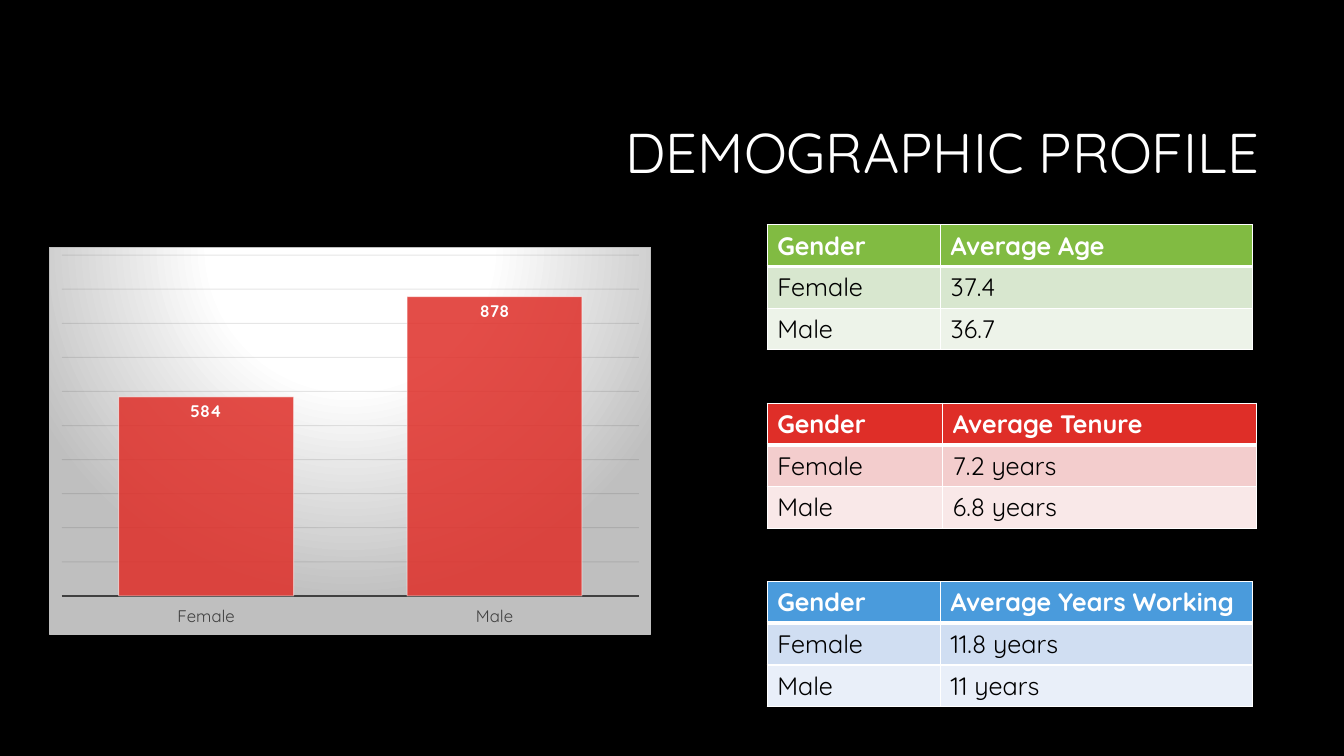
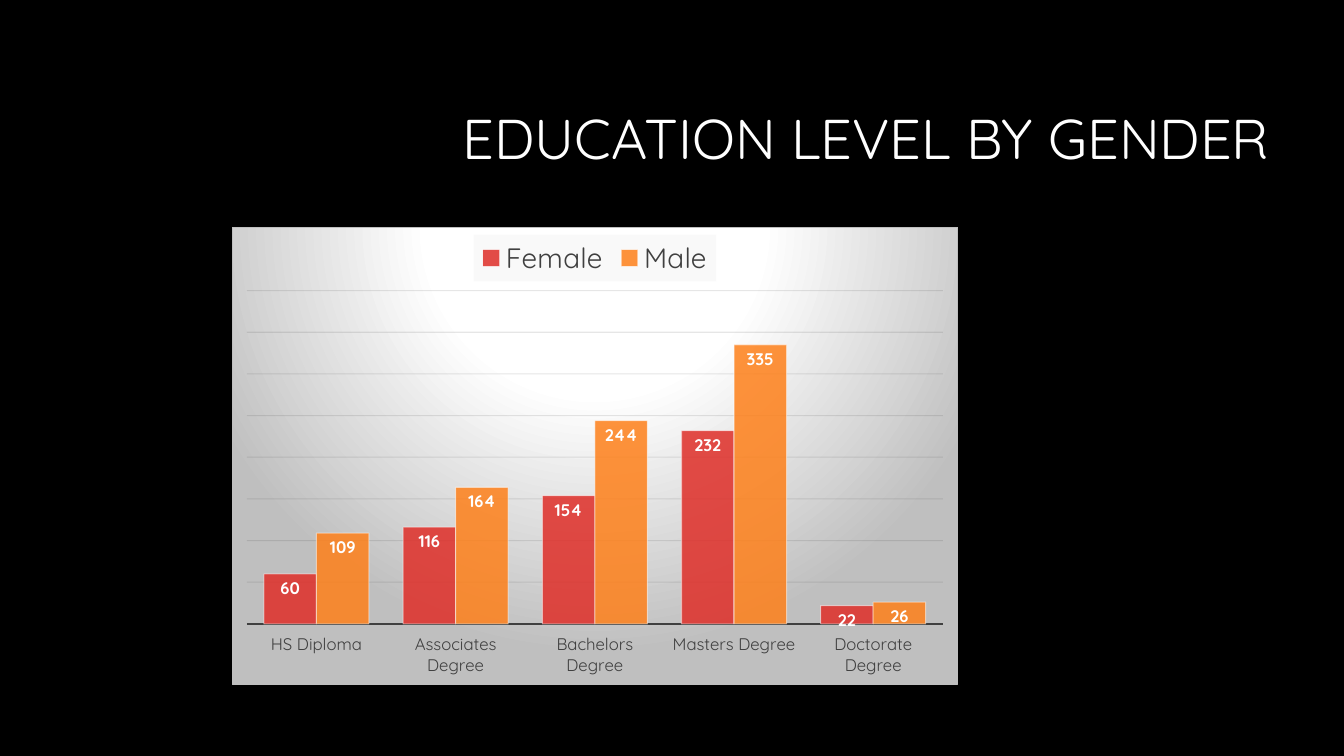
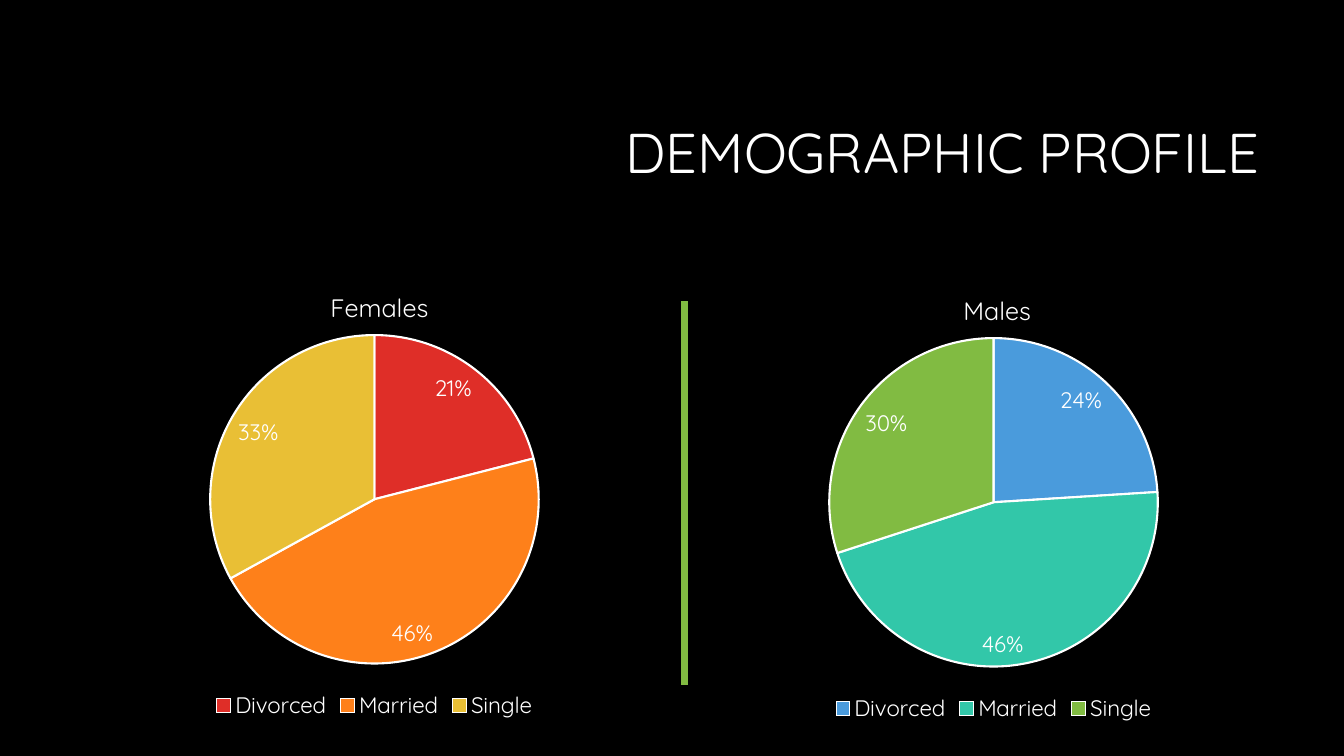
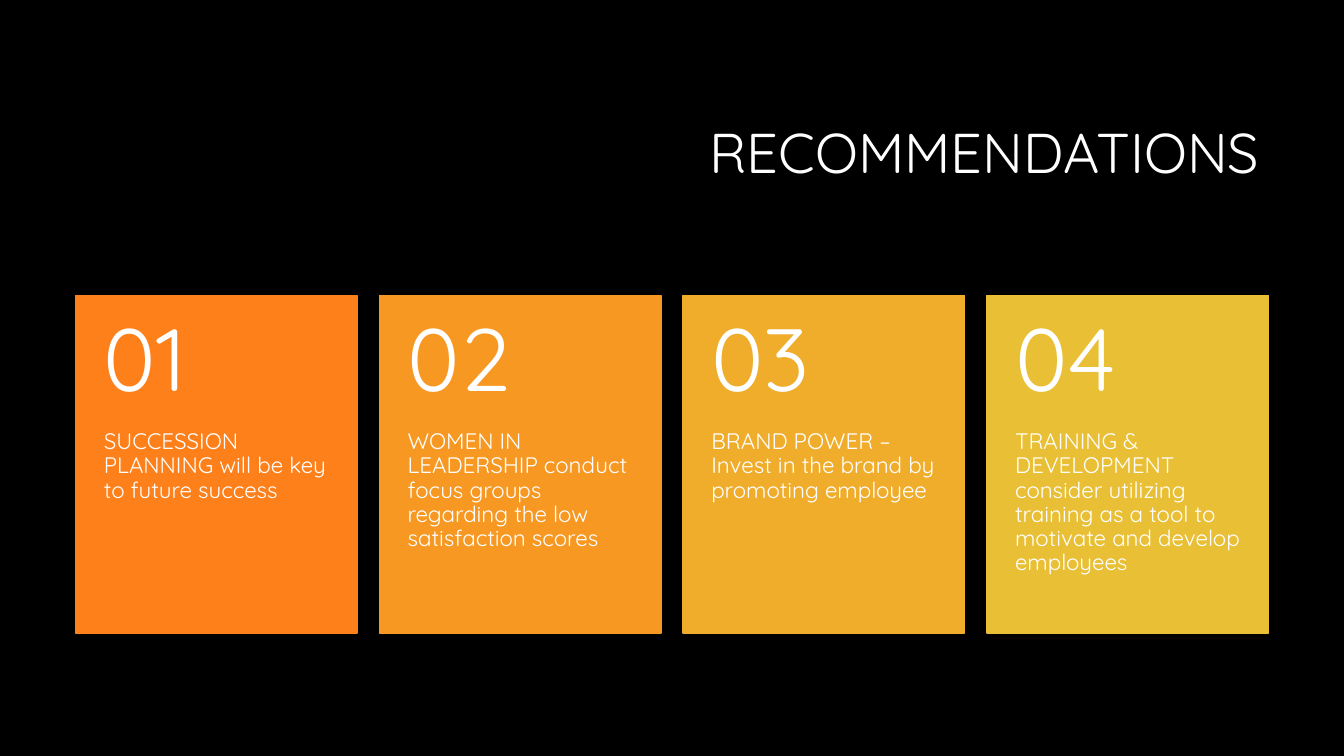
from dataclasses import dataclass

from pptx import Presentation
from pptx.chart.data import CategoryChartData as Data
from pptx.dml.color import RGBColor
from pptx.enum.chart import XL_CHART_TYPE as Kind
from pptx.enum.chart import XL_LABEL_POSITION as Spot
from pptx.enum.chart import XL_LEGEND_POSITION as Side
from pptx.enum.chart import XL_TICK_LABEL_POSITION as Tick
from pptx.enum.chart import XL_TICK_MARK as Mark
from pptx.enum.shapes import MSO_CONNECTOR as Wire
from pptx.enum.shapes import MSO_SHAPE as Form
from pptx.enum.text import MSO_ANCHOR as Anchor
from pptx.enum.text import PP_ALIGN as Align
from pptx.oxml import parse_xml
from pptx.oxml.ns import nsdecls, qn
from pptx.util import Inches, Pt


@dataclass(frozen=True)
class Theme:
    font: str = "Quicksand"
    back: str = "000000"
    white: str = "FFFFFF"
    black: str = "000000"
    dark: str = "404040"
    edge: str = "BFBFBF"
    grid: str = "0D0D0D"
    pale: str = "F2F2F2"
    red: str = "DF2E28"
    orange: str = "FE801A"
    gold: str = "E9BF35"
    green: str = "81BB42"
    blue: str = "4A9BDC"
    teal: str = "32C7A9"
    title: int = 40
    number: int = 63
    key: int = 20
    cell: int = 18
    body: int = 16
    small: int = 12
    base: int = 10


T = Theme()
TITLE = (3.17, 0.84, 9.42, 1.41)

# Header, rows, fills from header down, column widths
TABLES = [
    ("Average Age", ("37.4", "36.7"), (T.green, "D8E7CF", "EDF3E9"), (1.72, 3.09)),
    ("Average Tenure", ("7.2 years", "6.8 years"), (T.red, "F3CDCD", "F9E8E8"), (1.74, 3.11)),
    ("Average Years Working", ("11.8 years", "11 years"), (T.blue, "D0DEF2", "E9EFF9"), (1.72, 3.09)),
]
SEXES = ("Female", "Male")
COUNTS = [("Series 1", (584, 878), T.red)]
LEVELS = ("HS Diploma", "Associates Degree", "Bachelors Degree",
          "Masters Degree", "Doctorate Degree")
DEGREES = [("Female", (60, 116, 154, 232, 22), T.red),
           ("Male", (109, 164, 244, 335, 26), T.orange)]
STATUS = ("Divorced", "Married", "Single")
# Title, its left share, values, colours, chart corner
PIES = [
    ("Females", 0.43, (0.21, 0.46, 0.33), (T.red, T.orange, T.gold), (0.26, 2.59)),
    ("Males", 0.45, (0.24, 0.46, 0.30), (T.blue, T.teal, T.green), (6.4, 2.62)),
]
CARDS = [
    ("SUCCESSION PLANNING will be key to future success", T.orange),
    ("WOMEN IN LEADERSHIP conduct focus groups regarding the low satisfaction scores", "F79823"),
    ("BRAND POWER – Invest in the brand by promoting employee", "F0AD2C"),
    ("TRAINING & DEVELOPMENT consider utilizing training as a tool to motivate "
     "and develop employees", T.gold),
]


def rgb(code):
    return RGBColor.from_string(code)


def inch(*nums):
    return [Inches(n) for n in nums]


def style(font, size, color, bold=False):
    font.name, font.size, font.bold = T.font, Pt(size), bold
    font.color.rgb = rgb(color)


def write(para, text, size, color=T.white, bold=False):
    run = para.add_run()
    run.text = text
    style(run.font, size, color, bold)


def paint(fill, color):
    fill.solid()
    fill.fore_color.rgb = rgb(color)


def stroke(line, color, width):
    paint(line.fill, color)
    line.width = Pt(width)


def fade(chart, route, share):
    """Set the opacity, in percent, of every colour found on the route."""
    for color in chart.element.xpath(f"//{route}//a:srgbClr"):
        color.append(parse_xml(f'<a:alpha {nsdecls("a")} val="{share * 1000}"/>'))


def start(deck, text, box=TITLE):
    slide = deck.slides.add_slide(deck.slide_layouts[5])
    head = slide.shapes.title
    head.left, head.top, head.width, head.height = inch(*box)
    frame = head.text_frame
    frame.vertical_anchor = Anchor.MIDDLE
    para = frame.paragraphs[0]
    para.alignment, para.line_spacing = Align.RIGHT, 0.9
    write(para, text, T.title)
    return slide


def border(cell, base):
    props = cell._tc.get_or_add_tcPr()
    for n, (side, width) in enumerate((("L", 1), ("R", 1), ("T", 1), ("B", base))):
        props.insert(n, parse_xml(
            f'<a:ln{side} {nsdecls("a")} w="{Pt(width)}"><a:solidFill>'
            f'<a:srgbClr val="{T.white}"/></a:solidFill></a:ln{side}>'))


def table(slide, top, head, vals, fills, widths):
    rows = [("Gender", head), *zip(SEXES, vals)]
    high = 0.41
    grid = slide.shapes.add_table(
        len(rows), 2, *inch(7.61, top, sum(widths), high * len(rows))).table
    for col, width in zip(grid.columns, widths):
        col.width = Inches(width)
    for r, row in enumerate(rows):
        grid.rows[r].height = Inches(high)
        for c, text in enumerate(row):
            cell = grid.cell(r, c)
            paint(cell.fill, fills[r])
            border(cell, 1 if r else 3)
            write(cell.text_frame.paragraphs[0], text, T.cell,
                  T.black if r else T.white, not r)


def plot(slide, kind, box, cats, series):
    data = Data()
    data.categories = cats
    for name, vals in series:
        data.add_series(name, vals)
    chart = slide.shapes.add_chart(kind, *inch(*box), data).chart
    style(chart.font, T.base, T.white)
    chart.has_title = False
    return chart


def legend(chart, side, size, color):
    chart.has_legend = True
    chart.legend.position = side
    chart.legend.include_in_layout = False
    style(chart.legend.font, size, color)


def glow(chart):
    stops = "".join(f'<a:gs pos="{pos}000"><a:srgbClr val="{color}"/></a:gs>'
                    for pos, color in ((0, T.white), (39, T.white), (100, T.edge)))
    chart.element.find(qn("c:chart")).addnext(parse_xml(
        f'<c:spPr {nsdecls("c", "a")}><a:gradFill><a:gsLst>{stops}</a:gsLst>'
        '<a:path path="circle"><a:fillToRect l="50000" t="-80000" r="50000" '
        f'b="180000"/></a:path></a:gradFill><a:ln w="{Pt(0.75)}"><a:solidFill>'
        f'<a:srgbClr val="{T.edge}"/></a:solidFill></a:ln></c:spPr>'))


def bars(slide, box, cats, series):
    chart = plot(slide, Kind.COLUMN_CLUSTERED, box, cats, [s[:2] for s in series])
    glow(chart)
    body = chart.plots[0]
    body.gap_width, body.overlap, body.vary_by_categories = 65, 0, False
    for ser, (_, _, color) in zip(body.series, series):
        paint(ser.format.fill, color)
        stroke(ser.format.line, T.white, 0.75)
        tags = ser.data_labels
        tags.show_value, tags.position = True, Spot.INSIDE_END
        style(tags.font, T.small, T.white, True)
    axis = chart.category_axis
    axis.major_tick_mark = axis.minor_tick_mark = Mark.NONE
    axis.tick_label_position = Tick.LOW
    style(axis.tick_labels.font, T.small, T.dark)
    stroke(axis.format.line, T.dark, 1.5)
    chart.value_axis.visible = False
    stroke(chart.value_axis.major_gridlines.format.line, T.grid, 0.75)
    fade(chart, "c:ser/c:spPr/a:solidFill", 85)
    fade(chart, "c:ser/c:spPr/a:ln", 50)
    fade(chart, "c:majorGridlines", 10)
    return chart


def place(part, **shares):
    """Give a chart part a fixed place, in shares of the chart."""
    old = part.find(qn("c:layout"))
    if old is not None:
        part.remove(old)
    inner = '<c:layoutTarget val="inner"/>' if "w" in shares else ""
    modes = "".join(f'<c:{k}Mode val="edge"/>' for k in shares if k in "xy")
    sizes = "".join(f'<c:{k} val="{v}"/>' for k, v in shares.items())
    part.insert(0 if part.find(qn("c:tx")) is None else 1, parse_xml(
        f'<c:layout {nsdecls("c")}><c:manualLayout>{inner}{modes}{sizes}'
        '</c:manualLayout></c:layout>'))


def pie(slide, name, left, vals, colors, corner):
    chart = plot(slide, Kind.PIE, (*corner, 6.91, 4.59), STATUS, [("Series 1", vals)])
    chart.has_title = True
    write(chart.chart_title.text_frame.paragraphs[0], name, T.cell)
    place(chart.element.xpath("//c:title")[0], x=left, y=0.05)
    place(chart.element.xpath("//c:plotArea")[0], x=0.26, y=0.16, w=0.48, h=0.71)
    legend(chart, Side.BOTTOM, T.body, T.white)
    body = chart.plots[0]
    body.vary_by_categories = True
    for n, color in enumerate(colors):
        look = body.series[0].points[n].format
        paint(look.fill, color)
        stroke(look.line, T.white, 1.5)
    tags = body.series[0].data_labels
    tags.show_value, tags.position = True, Spot.INSIDE_END
    tags.number_format, tags.number_format_is_linked = "0%", False
    style(tags.font, T.body, T.white)


def note(slide, box, pads, anchor, text, size):
    frame = slide.shapes.add_textbox(*inch(*box)).text_frame
    frame.word_wrap, frame.vertical_anchor = True, anchor
    frame.margin_left = frame.margin_right = Inches(0.28)
    frame.margin_top, frame.margin_bottom = inch(*pads)
    para = frame.paragraphs[0]
    para.line_spacing = 0.9
    write(para, text, size)


def profile(deck):
    slide = start(deck, "DEMOGRAPHIC PROFILE")
    bars(slide, (0.49, 2.45, 5.97, 3.85), SEXES, COUNTS)
    for n, item in enumerate(TABLES):
        table(slide, 2.23 + 1.77 * n, *item)


def degrees(deck):
    slide = start(deck, "EDUCATION LEVEL BY GENDER", (3.27, 0.7, 9.42, 1.41))
    chart = bars(slide, (2.3, 2.25, 7.2, 4.55), LEVELS, DEGREES)
    legend(chart, Side.TOP, T.key, T.dark)
    chart.element.xpath("//c:legend/c:overlay")[0].addnext(parse_xml(
        f'<c:spPr {nsdecls("c", "a")}><a:solidFill><a:srgbClr val="{T.pale}"/>'
        '</a:solidFill></c:spPr>'))
    fade(chart, "c:legend/c:spPr", 39)


def status(deck):
    slide = start(deck, "DEMOGRAPHIC PROFILE")
    for item in PIES:
        pie(slide, *item)
    rule = slide.shapes.add_connector(Wire.STRAIGHT, *inch(6.79, 2.99, 6.79, 6.8))
    stroke(rule.line, T.green, 4.5)
    rule.element.find(qn("p:spPr")).append(parse_xml(f'<a:effectLst {nsdecls("a")}/>'))


def advice(deck):
    slide = start(deck, "RECOMMENDATIONS")
    left, top, span, high, gap = 0.75, 2.93, 11.83, 3.35, 0.22
    wide = (span - gap * (len(CARDS) - 1)) / len(CARDS)
    cap = high * 0.4
    for n, (text, color) in enumerate(CARDS):
        x = left + n * (wide + gap)
        card = slide.shapes.add_shape(Form.RECTANGLE, *inch(x, top, wide, high))
        card.shadow.inherit = False
        paint(card.fill, color)
        stroke(card.line, color, 1)
        note(slide, (x, top + cap, wide, high - cap), (0, 0.36), Anchor.TOP, text, T.body)
        note(slide, (x, top, wide, cap), (0.18, 0.18), Anchor.MIDDLE, f"{n + 1:02}", T.number)


def main():
    deck = Presentation()
    deck.slide_width, deck.slide_height = inch(13.33, 7.5)
    paint(deck.slide_master.background.fill, T.back)
    for build in (profile, degrees, status, advice):
        build(deck)
    deck.save("out.pptx")


if __name__ == "__main__":
    main()
